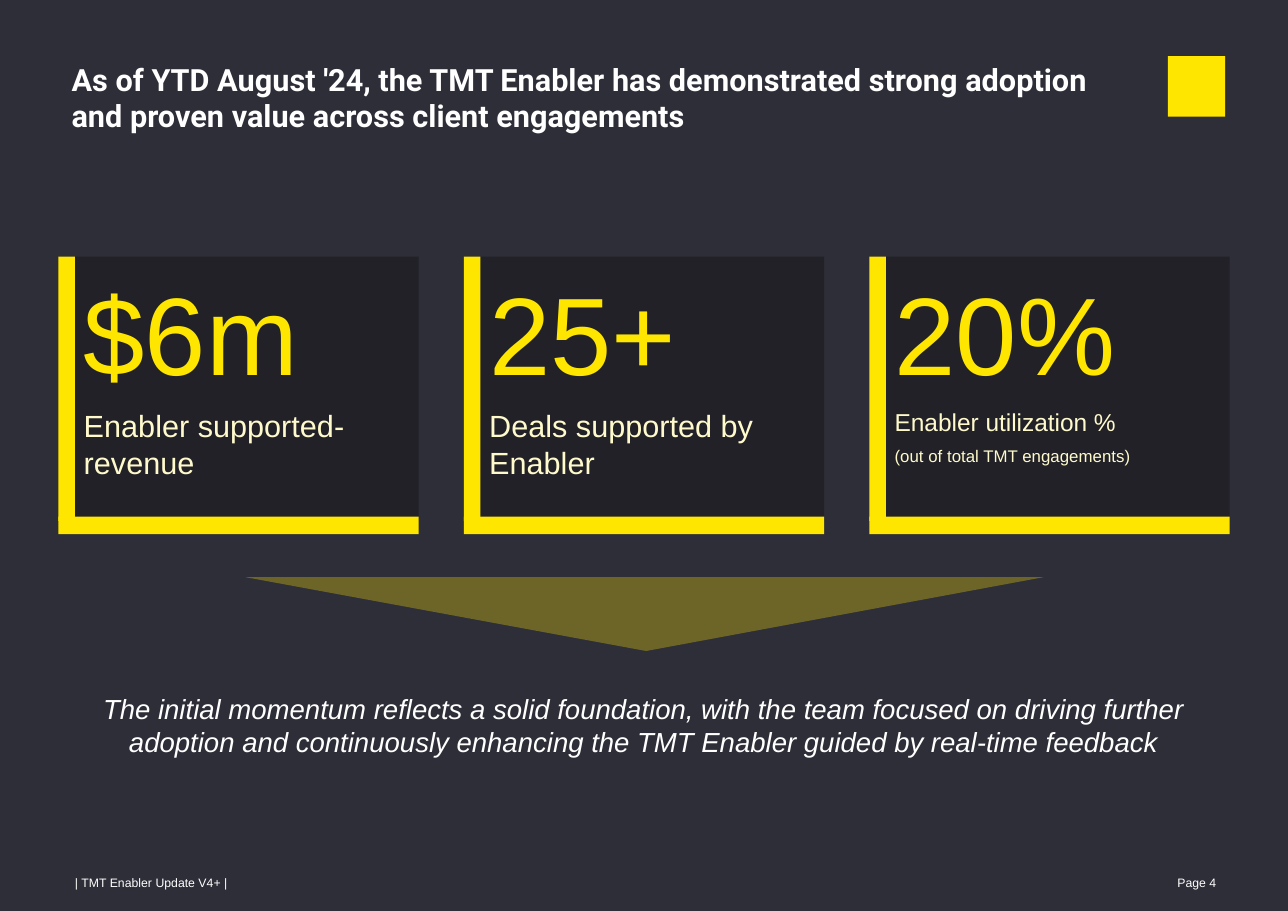
from pptx import Presentation
from pptx.dml.color import RGBColor
from pptx.enum.shapes import MSO_SHAPE
from pptx.enum.text import MSO_ANCHOR, PP_ALIGN
from pptx.oxml.ns import qn
from pptx.util import Pt
from lxml import etree

PX = 9144  # 100 px to the inch
YELLOW, WHITE, CREAM = "FFE600", "FFFFFF", "FFFACC"
BACKGROUND, PANEL = "2E2E38", "202026"
CARD_PITCH, CARD_TOP = 368, 233
CARDS = [
    ("$6m", [("Enabler supported-revenue", 20)]),
    ("25+", [("Deals supported by Enabler", 20)]),
    ("20%", [("Enabler utilization %", 16), ("(out of total TMT engagements)", 11)]),
]


def color(hex_string):
    return RGBColor.from_string(hex_string)


def add_block(slide, box, fill, opacity=100, kind=MSO_SHAPE.RECTANGLE):
    shape = slide.shapes.add_shape(kind, *(length * PX for length in box))
    shape.shadow.inherit = False
    shape.line.fill.background()
    shape.fill.solid()
    shape.fill.fore_color.rgb = color(fill)
    if opacity < 100:
        rgb_element = shape.fill._xPr.find(qn("a:solidFill"))[0]
        etree.SubElement(rgb_element, qn("a:alpha"), val=str(opacity * 1000))
    return shape


def write_text(shape, lines, inset=0, anchor=MSO_ANCHOR.TOP,
               align=PP_ALIGN.LEFT, space_after=0):
    """Each line is (text, size, color, font, bold, italic)."""
    frame = shape.text_frame
    frame.word_wrap = True
    frame.vertical_anchor = anchor
    frame.margin_left = frame.margin_right = inset * PX
    frame.margin_top = frame.margin_bottom = inset * PX
    for index, (text, size, ink, font, bold, italic) in enumerate(lines):
        paragraph = frame.add_paragraph() if index else frame.paragraphs[0]
        paragraph.alignment = align
        paragraph.space_after = Pt(space_after)
        run = paragraph.add_run()
        run.text = text
        run.font.size = Pt(size)
        run.font.name = font
        run.font.bold = bold
        run.font.italic = italic
        run.font.color.rgb = color(ink)


def add_label(slide, box, text, size, font="Arial", bold=False, italic=False, **layout):
    label = slide.shapes.add_textbox(*(length * PX for length in box))
    write_text(label, [(text, size, WHITE, font, bold, italic)], **layout)


def add_header(slide, left, top):
    add_label(slide, (left, top, 974, 67),
              "As of YTD August '24, the TMT Enabler has demonstrated strong adoption "
              "and proven value across client engagements",
              20, font="Roboto", bold=True, space_after=6)
    add_block(slide, (left + 995, top - 4, 52, 55), YELLOW)


def add_card(slide, left, top, number, captions):
    bar, width, height = 15, 327, 240
    panel = add_block(slide, (left + bar, top, width - bar, height), PANEL, opacity=90)
    lines = [(number, 72, YELLOW, "Arial", False, False)]
    lines += [(text, size, CREAM, "Arial", False, False) for text, size in captions]
    write_text(panel, lines, inset=8, space_after=6)
    add_block(slide, (left, top, bar, height), YELLOW)
    add_block(slide, (left, top + height - 4, width, 16), YELLOW)


def add_conclusion(slide, left, top):
    arrow = add_block(slide, (left + 170, top, 724, 67), YELLOW, opacity=30,
                      kind=MSO_SHAPE.ISOSCELES_TRIANGLE)
    arrow.rotation = 180
    arrow.adjustments[0] = 0.498
    add_label(slide, (left, top + 99, 1062, 71),
              "The initial momentum reflects a solid foundation, with the team focused on "
              "driving further adoption and continuously enhancing the TMT Enabler guided "
              "by real-time feedback",
              18, italic=True, inset=5, align=PP_ALIGN.CENTER)


def add_footer(slide, left, top):
    add_label(slide, (left, top, 835, 12), " | TMT Enabler Update V4+ |", 8,
              anchor=MSO_ANCHOR.MIDDLE)
    add_label(slide, (left + 925, top, 114, 12), "Page 4", 8,
              anchor=MSO_ANCHOR.MIDDLE, align=PP_ALIGN.RIGHT)


def main():
    presentation = Presentation()
    presentation.slide_width = 1169 * PX
    presentation.slide_height = 827 * PX
    slide = presentation.slides.add_slide(presentation.slide_layouts[6])
    slide.background.fill.solid()
    slide.background.fill.fore_color.rgb = color(BACKGROUND)
    add_header(slide, 65, 55)
    for index, (number, captions) in enumerate(CARDS):
        add_card(slide, 53 + index * CARD_PITCH, CARD_TOP, number, captions)
    add_conclusion(slide, 53, 524)
    add_footer(slide, 65, 795)
    presentation.save("out.pptx")


if __name__ == "__main__":
    main()
